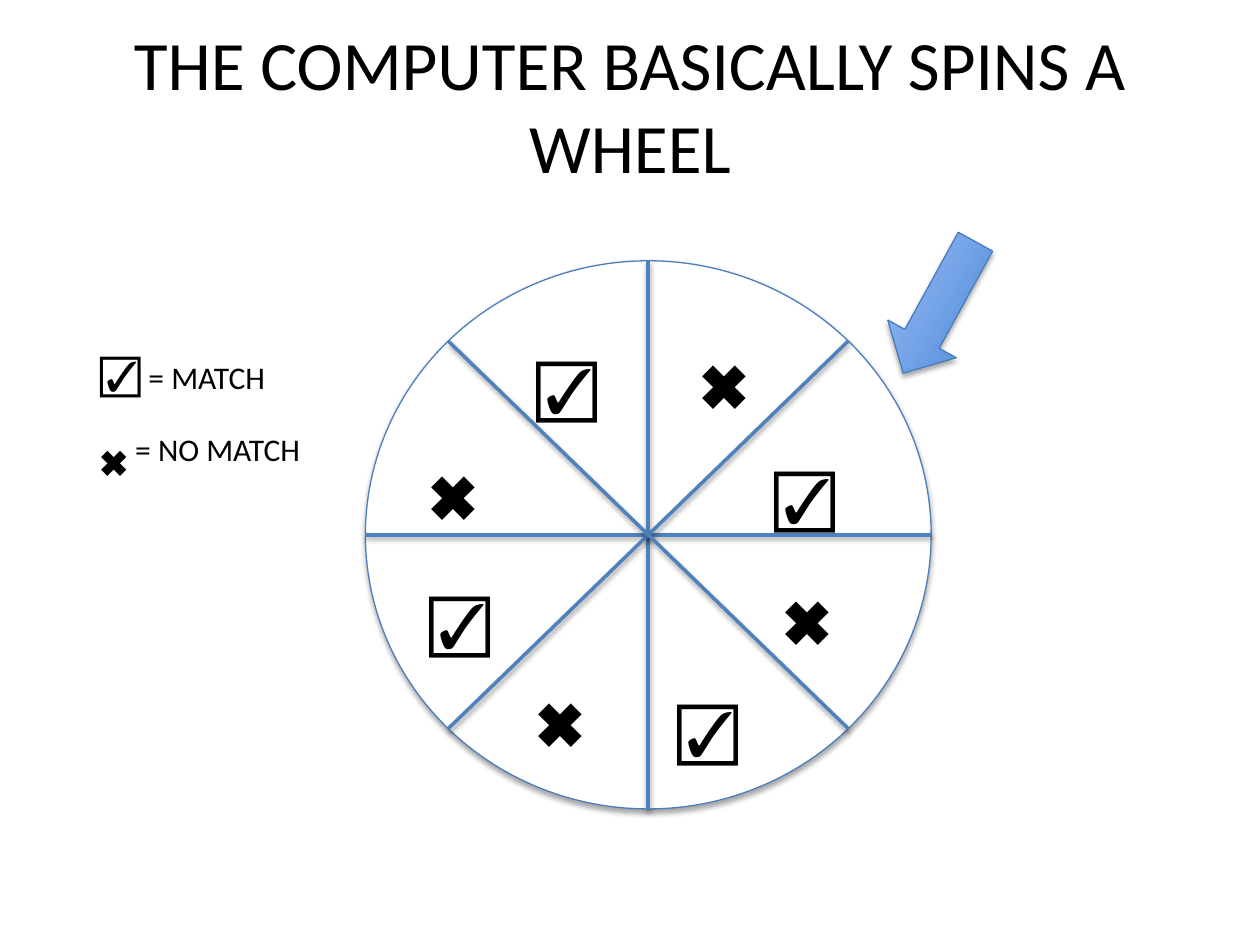
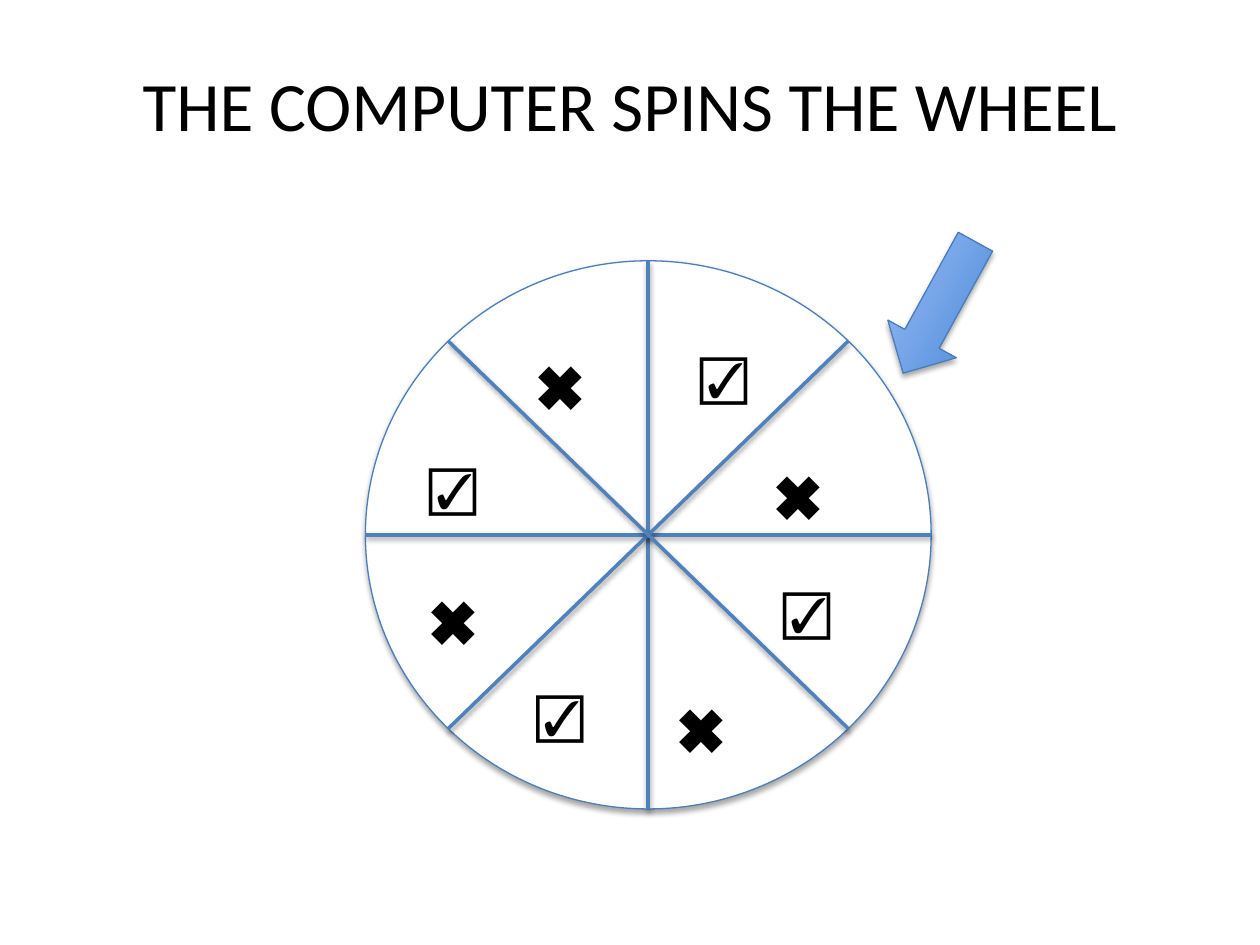
import math
import pptx
import pptx.util
import pptx.dml.color
import pptx.enum.shapes
import pptx.enum.text
import pptx.oxml
import pptx.oxml.ns

Inches = pptx.util.Inches
Pt = pptx.util.Pt
Shape = pptx.enum.shapes.MSO_SHAPE
Align = pptx.enum.text.PP_ALIGN
Anchor = pptx.enum.text.MSO_ANCHOR
Fit = pptx.enum.text.MSO_AUTO_SIZE

FONT = "Calibri"
INK, PAPER = "000000", "FFFFFF"
RIM, SPOKE = "4B7EBC", "4F81BD"
DARK, LIGHT = "3F80CE", "A4C4FF"
CHECK, CROSS = "☑️", "✖️"

TITLE = (0.5, 0.45, 9, 0.75)
WHEEL = (2.9, 2.07, 4.49, 4.35)
ARROW = (6.86, 2.13, 1.19, 0.62)
LEGEND = (0.69, 2.71, 1.92, 0.91)
SPOTS = [(0.4, 1.51), (1.25, 0.64), (2.55, 0.63), (3.14, 1.51),
         (3.21, 2.5), (2.37, 3.36), (1.25, 3.31), (0.4, 2.5)]
TALL = {36: 0.71, 28: 0.57}

SLIDES = [
    {"title": "THE COMPUTER BASICALLY SPINS A WHEEL",
     "marks": [(CROSS, 36), (CHECK, 36)], "legend": True},
    {"title": "THE COMPUTER SPINS THE WHEEL",
     "marks": [(CHECK, 28), (CROSS, 36)], "legend": False},
]


def color(code):
    return pptx.dml.color.RGBColor.from_string(code)


def assign(item, values):
    for name, value in values.items():
        setattr(item, name, value)


def inches(box):
    return [Inches(part) for part in box]


def outline(item, code, width):
    item.line.color.rgb = color(code)
    item.line.width = Pt(width)


def shade(item, alpha, dist):
    space = pptx.oxml.ns.nsdecls("a")
    item._element.spPr.append(pptx.oxml.parse_xml(
        f'<a:effectLst {space}><a:outerShdw blurRad="{Pt(3.1)}" '
        f'dist="{Pt(dist)}" dir="5400000" rotWithShape="0">'
        f'<a:srgbClr val="{INK}"><a:alpha val="{alpha * 1000}"/></a:srgbClr>'
        '</a:outerShdw></a:effectLst>'))


def write(para, text, size, base=0):
    run = para.add_run()
    run.text = text
    assign(run.font, {"name": FONT, "size": Pt(size)})
    run.font.color.rgb = color(INK)
    if base:
        run.font._element.set("baseline", str(base * 1000))


def label(shapes, box, frame, lines, align=Align.LEFT):
    text = shapes.add_textbox(*inches(box)).text_frame
    assign(text, frame)
    for row, runs in enumerate(lines):
        para = text.add_paragraph() if row else text.paragraphs[0]
        para.alignment = align
        for run in runs:
            write(para, *run)


def draw_title(slide, box, text):
    frame = {"word_wrap": True, "vertical_anchor": Anchor.MIDDLE}
    label(slide.shapes, box, frame, [[(text, 39.6)]], Align.CENTER)


def draw_wheel(slide, box, marks):
    left, top, width, height = box
    group = slide.shapes.add_group_shape().shapes
    rim = group.add_shape(Shape.OVAL, *inches(box))
    rim.fill.solid()
    rim.fill.fore_color.rgb = color(PAPER)
    outline(rim, RIM, 0.75)
    shade(rim, 35, 1.8)
    mid_x, mid_y = left + width / 2, top + height / 2
    for angle in (90, 0, 45, 135):
        reach_x = width / 2 * math.cos(math.radians(angle))
        reach_y = height / 2 * math.sin(math.radians(angle))
        ends = (mid_x - reach_x, mid_y + reach_y,
                mid_x + reach_x, mid_y - reach_y)
        spoke = group.add_connector(
            pptx.enum.shapes.MSO_CONNECTOR.STRAIGHT, *inches(ends))
        outline(spoke, SPOKE, 2)
        shade(spoke, 38, 1.6)
    frame = {"word_wrap": True, "auto_size": Fit.SHAPE_TO_FIT_TEXT}
    for turn, (across, down) in enumerate(SPOTS):
        mark, size = marks[turn % 2]
        spot = (left + across, top + down, 0.85, TALL[size])
        label(group, spot, frame, [[(mark, size)]])


def draw_arrow(slide, box):
    arrow = slide.shapes.add_shape(Shape.RIGHT_ARROW, *inches(box))
    arrow.rotation = 298.8
    arrow._element.spPr.find(pptx.oxml.ns.qn("a:xfrm")).set("flipH", "1")
    arrow.fill.gradient()
    arrow.fill.gradient_angle = 90
    for stop, code in zip(arrow.fill.gradient_stops, (DARK, LIGHT)):
        stop.color.rgb = color(code)
    outline(arrow, RIM, 0.75)
    shade(arrow, 35, 1.8)


def draw_legend(slide, box):
    frame = {"word_wrap": False, "auto_size": Fit.SHAPE_TO_FIT_TEXT}
    label(slide.shapes, box, frame, [
        [(CHECK, 24), (" = MATCH", 18)],
        [(CROSS, 36, -25), (" = NO MATCH", 18)],
    ])


def main():
    deck = pptx.Presentation()
    assign(deck, {"slide_width": Inches(10), "slide_height": Inches(7.5)})
    for plan in SLIDES:
        slide = deck.slides.add_slide(deck.slide_layouts[6])
        draw_title(slide, TITLE, plan["title"])
        draw_wheel(slide, WHEEL, plan["marks"])
        draw_arrow(slide, ARROW)
        if plan["legend"]:
            draw_legend(slide, LEGEND)
    deck.save("out.pptx")


if __name__ == "__main__":
    main()
